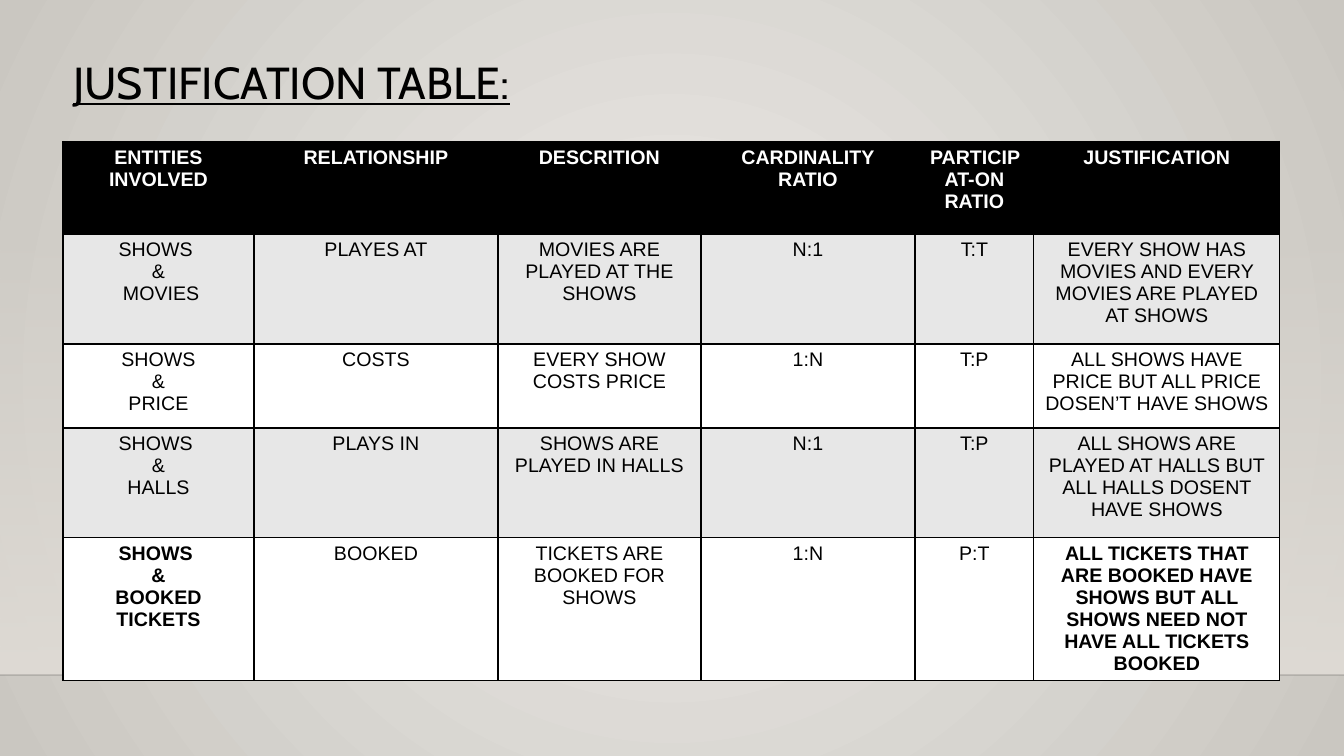
from lxml.etree import SubElement
from pptx import Presentation
from pptx.dml.color import RGBColor
from pptx.enum.shapes import MSO_CONNECTOR, MSO_SHAPE
from pptx.enum.text import MSO_ANCHOR, PP_ALIGN
from pptx.oxml.ns import qn
from pptx.util import Emu, Pt

# Content
TITLE = "JUSTIFICATION TABLE:"
ROWS = [
    ("ENTITIES INVOLVED", "RELATIONSHIP", "DESCRITION", "CARDINALITY\nRATIO",
     "PARTICIPAT-ON RATIO", "JUSTIFICATION"),
    ("SHOWS \n&\n MOVIES", "PLAYES AT", "MOVIES ARE PLAYED AT THE SHOWS", "N:1", "T:T",
     "EVERY SHOW HAS MOVIES AND EVERY MOVIES ARE PLAYED AT SHOWS"),
    ("SHOWS\n&\nPRICE", "COSTS", "EVERY SHOW COSTS PRICE", "1:N", "T:P",
     "ALL SHOWS HAVE PRICE BUT ALL PRICE DOSEN’T HAVE SHOWS"),
    ("SHOWS \n&\nHALLS", "PLAYS IN", "SHOWS ARE PLAYED IN HALLS", "N:1", "T:P",
     "ALL SHOWS ARE PLAYED AT HALLS BUT ALL HALLS DOSENT HAVE SHOWS"),
    ("SHOWS \n&\nBOOKED TICKETS", "BOOKED", "TICKETS ARE BOOKED FOR SHOWS", "1:N", "P:T",
     "ALL TICKETS THAT ARE BOOKED HAVE SHOWS BUT ALL SHOWS NEED NOT HAVE ALL TICKETS BOOKED"),
]
BOLD_BODY_CELLS = {(4, 0), (4, 5)}

# Layout in px
WIDTH, HEIGHT = 1344, 756
MARGIN = 63
TITLE_TOP, TITLE_WIDTH, TITLE_HEIGHT = 50, 750, 64
TABLE_TOP = 142
COLUMN_WIDTHS = [191, 244, 203, 214, 119, 246]
ROW_HEIGHTS = [92, 110, 84, 110, 132]
WALL_TOP, FLOOR_TOP = 223, 675

BLACK, WHITE, BAND = "000000", "FFFFFF", "E7E7E7"
GLOW, EDGE, WALL, FLOOR_LINE = "ECEAE7", "CAC7C1", "DFDBD5", "000001"


def px(length):
    return Emu(round(length * 12192000 / WIDTH))


def color(value):
    return RGBColor.from_string(value)


def set_gradient(fill, *stops):
    fill.gradient()
    for stop, value in zip(fill.gradient_stops, stops):
        stop.color.rgb = color(value)


def set_alpha(color_element, percent):
    SubElement(color_element, qn("a:alpha"), val=str(percent * 1000))


def set_font(paragraph, name, size, value, bold=False, underline=False):
    for run in paragraph.runs:
        font = run.font
        font.name, font.size = name, Pt(size)
        font.bold, font.underline = bold, underline
        font.color.rgb = color(value)


def set_borders(cell, top_width):
    properties = cell._tc.get_or_add_tcPr()
    for side, width in (("L", 1), ("R", 1), ("T", top_width), ("B", 1)):
        border = SubElement(properties, qn(f"a:ln{side}"), w=str(Pt(width)))
        fill = SubElement(border, qn("a:solidFill"))
        SubElement(fill, qn("a:srgbClr"), val=BLACK)


def draw_background(slide):
    # Radial glow
    fill = slide.background.fill
    set_gradient(fill, GLOW, EDGE)
    gradient = slide._element.find(".//" + qn("a:gradFill"))
    gradient.remove(gradient.find(qn("a:lin")))
    glow = SubElement(gradient, qn("a:path"), {"path": "circle"})
    SubElement(glow, qn("a:fillToRect"), l="50000", t="50000", r="50000", b="50000")

    # Wall fading in towards the floor
    wall = slide.shapes.add_shape(MSO_SHAPE.RECTANGLE, 0, px(WALL_TOP),
                                  px(WIDTH), px(FLOOR_TOP - WALL_TOP))
    wall.shadow.inherit = False
    wall.line.fill.background()
    set_gradient(wall.fill, WALL, WALL)
    wall.fill.gradient_angle = 270
    set_alpha(wall._element.spPr.find(".//" + qn("a:srgbClr")), 0)

    # Floor line
    floor = slide.shapes.add_connector(MSO_CONNECTOR.STRAIGHT, 0, px(FLOOR_TOP),
                                       px(WIDTH), px(FLOOR_TOP))
    floor.line.width = Pt(1)
    floor.line.color.rgb = color(FLOOR_LINE)
    set_alpha(floor._element.spPr.find(".//" + qn("a:srgbClr")), 20)
    SubElement(floor._element.spPr, qn("a:effectLst"))


def add_title(slide):
    title = slide.shapes.title
    title.left, title.top = px(MARGIN), px(TITLE_TOP)
    title.width, title.height = px(TITLE_WIDTH), px(TITLE_HEIGHT)
    frame = title.text_frame
    frame.text = TITLE
    frame.vertical_anchor = MSO_ANCHOR.TOP
    paragraph = frame.paragraphs[0]
    paragraph.alignment = PP_ALIGN.LEFT
    set_font(paragraph, "Cabin", 32, BLACK, underline=True)


def add_justification_table(slide):
    table = slide.shapes.add_table(
        len(ROWS), len(COLUMN_WIDTHS), px(MARGIN), px(TABLE_TOP),
        px(sum(COLUMN_WIDTHS)), px(sum(ROW_HEIGHTS))).table
    for column, width in zip(table.columns, COLUMN_WIDTHS):
        column.width = px(width)
    for row, height in zip(table.rows, ROW_HEIGHTS):
        row.height = px(height)

    for row_index, texts in enumerate(ROWS):
        header = row_index == 0
        background = BLACK if header else BAND if row_index % 2 else WHITE
        for column_index, text in enumerate(texts):
            cell = table.cell(row_index, column_index)
            set_borders(cell, 2 if header else 1)
            cell.fill.solid()
            cell.fill.fore_color.rgb = color(background)
            cell.text_frame.text = text
            bold = header or (row_index, column_index) in BOLD_BODY_CELLS
            for paragraph in cell.text_frame.paragraphs:
                paragraph.alignment = PP_ALIGN.CENTER
                set_font(paragraph, "Arial", 14, WHITE if header else BLACK, bold)


def main():
    presentation = Presentation()
    presentation.slide_width, presentation.slide_height = px(WIDTH), px(HEIGHT)
    slide = presentation.slides.add_slide(presentation.slide_layouts[5])
    draw_background(slide)
    add_title(slide)
    add_justification_table(slide)
    presentation.save("out.pptx")


if __name__ == "__main__":
    main()
